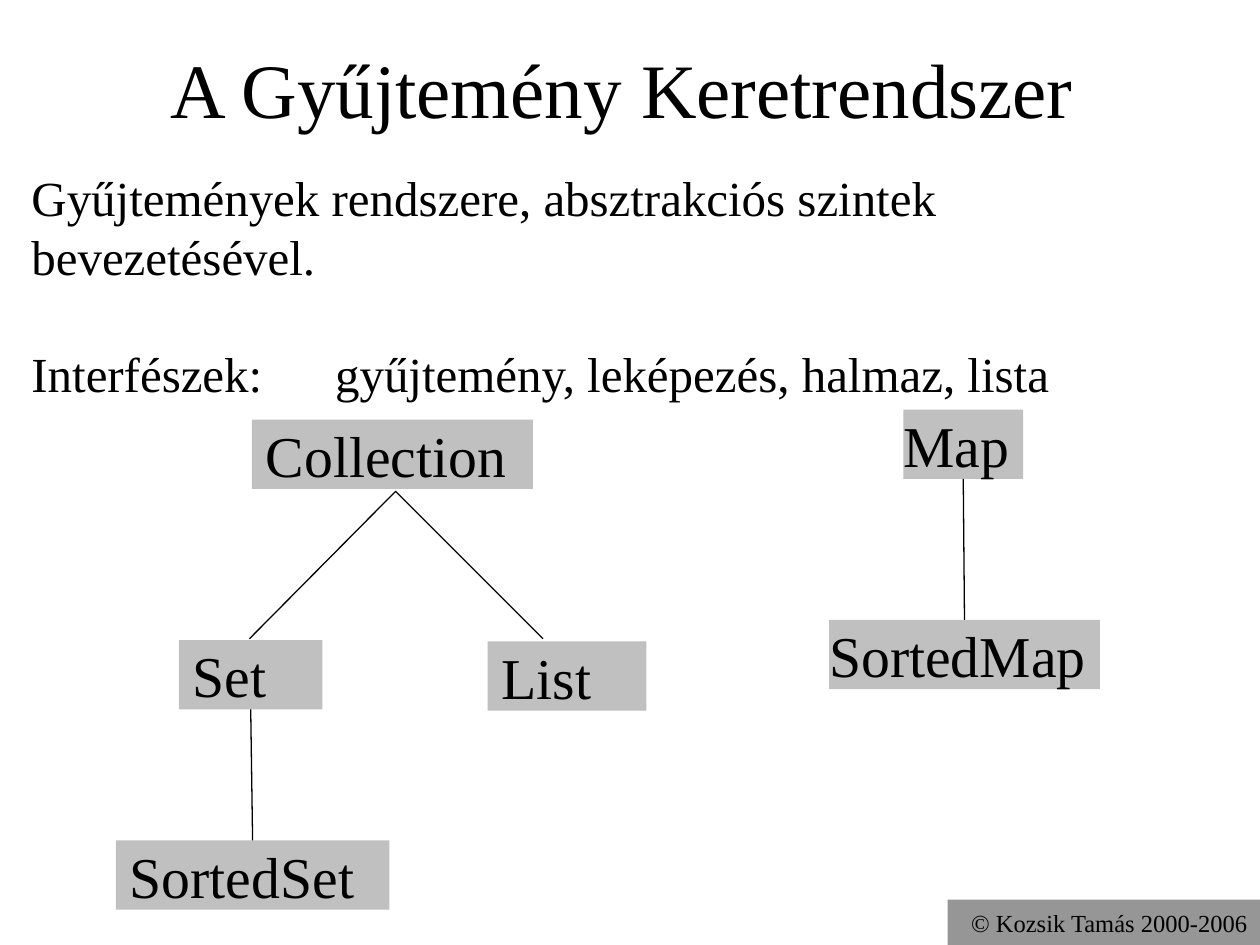
from pptx import Presentation
from pptx import util as u
from pptx.dml.color import RGBColor
from pptx.enum import shapes, text
from pptx.util import Inches
from lxml import etree
from pptx.oxml.ns import qn

COLORS = {"text": "000000", "line": "000000", "node": "C0C0C0", "footer": "969696"}
FONT = "Times New Roman"
LINE_WIDTH = u.Pt(0.75)
LINE_PITCH = 1.2  # line height as a multiple of the font size
BOTTOM, TOP = 2, 0

NODE_HEIGHT = 0.55
# name: left, top, width, left inset
NODES = {
    "Collection": (2, 3.33, 2.23, 0.11),
    "Set": (1.42, 5.08, 1.14, 0.11),
    "List": (3.87, 5.09, 1.26, 0.11),
    "SortedSet": (0.92, 6.67, 2.17, 0.11),
    "Map": (7.17, 3.25, 0.95, 0),
    "SortedMap": (6.58, 4.92, 2.15, 0),
}
STRAIGHT_LINKS = [("Set", "SortedSet"), ("Map", "SortedMap")]
FORK = [(1.98, 5.07), (3.14, 3.9), (4.31, 5.07)]


def color(name):
    return RGBColor.from_string(COLORS[name])


def write(frame, lines, size, align=text.PP_ALIGN.LEFT,
          anchor=text.MSO_ANCHOR.TOP, inset=0, wrap=True, pitch=None):
    """Fill a text frame with one paragraph per line, with equal side insets."""
    frame.word_wrap = wrap
    frame.vertical_anchor = anchor
    frame.margin_top = frame.margin_bottom = 0
    frame.margin_left = frame.margin_right = Inches(inset)
    for index, line in enumerate(lines):
        paragraph = frame.add_paragraph() if index else frame.paragraphs[0]
        paragraph.text = line
        paragraph.alignment = align
        paragraph.font.name = FONT
        paragraph.font.size = u.Pt(size)
        paragraph.font.color.rgb = color("text")
        if pitch:
            paragraph.line_spacing = u.Pt(size * pitch)


def add_box(slide, left, top, width, height, fill):
    shape = slide.shapes.add_shape(
        shapes.MSO_SHAPE.RECTANGLE,
        Inches(left), Inches(top), Inches(width), Inches(height))
    shape.shadow.inherit = False
    shape.fill.solid()
    shape.fill.fore_color.rgb = color(fill)
    shape.line.fill.background()
    return shape


def add_footer(slide, left, top, width, height):
    shape = add_box(slide, left, top, width, height, "footer")
    write(shape.text_frame, ["© Kozsik Tamás 2000-2006"], 14,
          text.PP_ALIGN.RIGHT, text.MSO_ANCHOR.MIDDLE, inset=0.1)


def add_title(slide, left, top, width, height):
    box = slide.shapes.add_textbox(
        Inches(left), Inches(top), Inches(width), Inches(height))
    write(box.text_frame, ["A Gyűjtemény Keretrendszer"], 44,
          text.PP_ALIGN.CENTER, text.MSO_ANCHOR.MIDDLE)


def add_introduction(slide, left, top, width, height):
    box = slide.shapes.add_textbox(
        Inches(left), Inches(top), Inches(width), Inches(height))
    write(box.text_frame, [
        "Gyűjtemények rendszere, absztrakciós szintek bevezetésével.",
        "Interfészek:\tgyűjtemény, leképezés, halmaz, lista",
    ], 28, pitch=LINE_PITCH)
    interfaces = box.text_frame.paragraphs[1]
    interfaces.space_before = u.Pt(28 * LINE_PITCH)
    properties = interfaces._p.get_or_add_pPr()
    stops = etree.SubElement(properties, qn("a:tabLst"))
    etree.SubElement(stops, qn("a:tab"), pos=str(Inches(2.41)), algn="l")
    defaults = properties.find(qn("a:defRPr"))
    if defaults is not None:
        defaults.addprevious(stops)


def add_node(slide, name, left, top, width, inset):
    shape = add_box(slide, left, top, width, NODE_HEIGHT, "node")
    write(shape.text_frame, [name], 33, wrap=False, pitch=LINE_PITCH)
    shape.text_frame.margin_left = Inches(inset)
    return shape


def add_link(slide, parent, child):
    """Join the bottom of the parent to the top of the child."""
    connector = slide.shapes.add_connector(shapes.MSO_CONNECTOR.STRAIGHT, 0, 0, 0, 0)
    connector.begin_connect(parent, BOTTOM)
    connector.end_connect(child, TOP)
    connector.line.color.rgb = color("line")
    connector.line.width = LINE_WIDTH
    etree.SubElement(connector._element.spPr, qn("a:effectLst"))


def add_fork(slide, points):
    """Draw the open line from a parent to its two children."""
    start, *rest = [(Inches(x), Inches(y)) for x, y in points]
    builder = slide.shapes.build_freeform(*start)
    builder.add_line_segments(rest, close=False)
    fork = builder.convert_to_shape()
    fork.shadow.inherit = False
    fork.fill.background()
    fork.line.color.rgb = color("line")
    fork.line.width = LINE_WIDTH


def add_hierarchy(slide):
    nodes = {name: add_node(slide, name, *place) for name, place in NODES.items()}
    add_fork(slide, FORK)
    for parent, child in STRAIGHT_LINKS:
        add_link(slide, nodes[parent], nodes[child])


def main():
    presentation = Presentation()
    presentation.slide_width = Inches(10)
    presentation.slide_height = Inches(7.5)
    slide = presentation.slides.add_slide(presentation.slide_layouts[6])
    add_footer(slide, 7.52, 7.14, 2.48, 0.36)
    add_title(slide, 0.67, 0.2, 8.54, 1)
    add_introduction(slide, 0.25, 1.33, 9.53, 1.87)
    add_hierarchy(slide)
    presentation.save("out.pptx")


if __name__ == "__main__":
    main()
